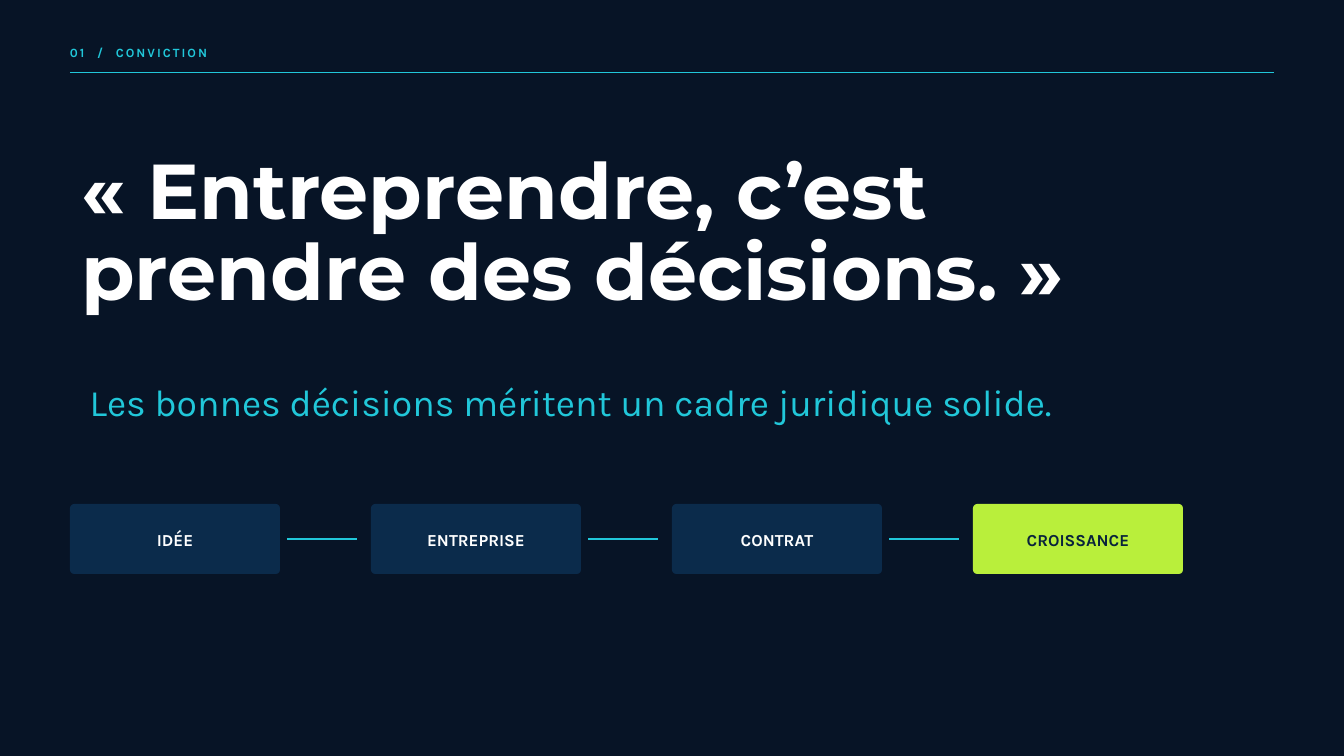
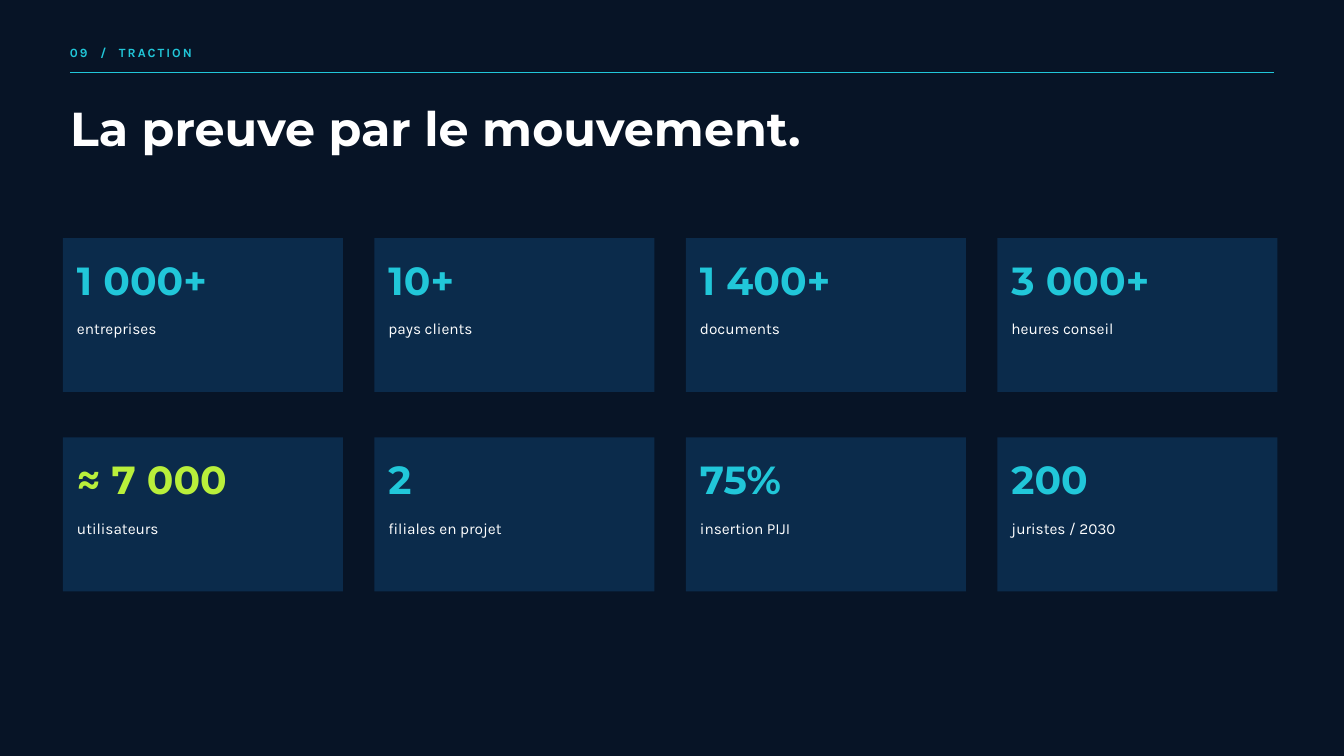
from dataclasses import dataclass

from lxml.etree import SubElement
from pptx import Presentation
from pptx.dml.color import RGBColor as RGB
from pptx.enum.shapes import MSO_CONNECTOR as LINE, MSO_SHAPE as SHAPE
from pptx.enum.text import MSO_ANCHOR as ANCHOR, MSO_AUTO_SIZE as FIT, PP_ALIGN as ALIGN
from pptx.oxml.ns import qn
from pptx.util import Pt

# Content
CONVICTION = {
    "section": ("01", "CONVICTION"),
    "title": ["« Entreprendre, c’est", "prendre des décisions. »"],
    "subtitle": "Les bonnes décisions méritent un cadre juridique solide.",
    "steps": ["IDÉE", "ENTREPRISE", "CONTRAT", "CROISSANCE"],
}
TRACTION = {
    "section": ("09", "TRACTION"),
    "title": ["La preuve par le mouvement."],
    "stats": [
        ("1 000+", "entreprises"), ("10+", "pays clients"),
        ("1 400+", "documents"), ("3 000+", "heures conseil"),
        ("≈ 7 000", "utilisateurs"), ("2", "filiales en projet"),
        ("75%", "insertion PIJI"), ("200", "juristes / 2030"),
    ],
    "highlight": "≈ 7 000",
}


# Theme
@dataclass(frozen=True)
class Style:
    size: float
    leading: float
    font: str = "Karla"
    bold: bool = False


class Theme:
    night = RGB.from_string("071426")
    navy = RGB.from_string("0B2B4B")
    ink = RGB.from_string("09233B")
    cyan = RGB.from_string("21C7D9")
    lime = RGB.from_string("B9EF3B")
    white = RGB.from_string("FFFFFF")
    section = Style(13.5, 18.9, bold=True)
    quote = Style(83.3, 85.8, "Montserrat", True)
    title = Style(51, 52.5, "Montserrat", True)
    subtitle = Style(40, 53.9)
    step = Style(18, 25.2, bold=True)
    figure = Style(42, 43.3, "Montserrat", True)
    label = Style(16.5, 22.3)


WIDTH, HEIGHT = 1440, 810
MARGIN = 75


# Shared helpers
def pts(*values):
    return [Pt(v) for v in values]


def frame(shape, insets=(0, 0, 0, 0), anchor=ANCHOR.TOP):
    tf = shape.text_frame
    tf.word_wrap, tf.auto_size, tf.vertical_anchor = True, FIT.NONE, anchor
    tf.margin_left, tf.margin_top, tf.margin_right, tf.margin_bottom = pts(*insets)
    return tf


def add_run(p, text, style, color, tracking=0):
    r = p.add_run()
    r.text = text
    r.font.name, r.font.size, r.font.bold = style.font, Pt(style.size), style.bold
    r.font.color.rgb = color
    if tracking:
        r.font._element.set("spc", str(round(tracking * 100)))


def add_line(tf, text, style, color, align=ALIGN.LEFT, before=0):
    p = tf.paragraphs[0] if not tf.paragraphs[0].runs else tf.add_paragraph()
    p.alignment, p.line_spacing, p.space_before = align, Pt(style.leading), Pt(before)
    if text:
        add_run(p, text, style, color)
    return p


def add_rule(s, x1, x2, y, width):
    rule = s.shapes.add_connector(LINE.STRAIGHT, *pts(x1, y, x2, y))
    rule.line.color.rgb, rule.line.width = Theme.cyan, Pt(width)
    SubElement(rule._element.spPr, qn("a:effectLst"))


def add_panel(s, kind, box, fill):
    panel = s.shapes.add_shape(kind, *pts(*box))
    panel.shadow.inherit = False
    panel.fill.solid()
    panel.fill.fore_color.rgb = fill
    panel.line.fill.background()
    return panel


def new_slide(prs, content, title_box, title_style):
    s = prs.slides.add_slide(prs.slide_layouts[5])
    # Section marker and rule
    tf = frame(s.shapes.add_textbox(*pts(MARGIN, 45, 465, 17)))
    p = add_line(tf, "", Theme.section, Theme.cyan)
    number, name = content["section"]
    for text, tracking in ((number, 2.2), (" ", 8), ("/", 2.2), (" ", 8), (name, 2.2)):
        add_run(p, text, Theme.section, Theme.cyan, tracking)
    add_rule(s, MARGIN, WIDTH - MARGIN, 77.6, 1)
    # Title
    title = s.shapes.title
    title.left, title.top, title.width, title.height = pts(*title_box)
    tf = frame(title)
    for text in content["title"]:
        add_line(tf, text, title_style, Theme.white)
    return s


# Quote and chain of steps
def conviction_slide(prs):
    s = new_slide(prs, CONVICTION, (87, 166.5, 1353, 174), Theme.quote)
    tf = frame(s.shapes.add_textbox(*pts(96, 400, 1065, 52)))
    add_line(tf, CONVICTION["subtitle"], Theme.subtitle, Theme.cyan)

    top, w, h, pitch = 540, 225, 75, 322.5
    last = len(CONVICTION["steps"]) - 1
    for i, step in enumerate(CONVICTION["steps"]):
        x = MARGIN + i * pitch
        fill, color = (Theme.lime, Theme.ink) if i == last else (Theme.navy, Theme.white)
        box = add_panel(s, SHAPE.ROUNDED_RECTANGLE, (x, top, w, h), fill)
        box.adjustments[0] = 0.06
        add_line(frame(box, (4, 4, 4, 6), ANCHOR.MIDDLE), step, Theme.step, color, ALIGN.CENTER)
        if i < last:
            add_rule(s, x + w + 7.5, x + w + 82.5, top + h / 2, 2.25)


# Grid of key figures
def traction_slide(prs):
    s = new_slide(prs, TRACTION, (MARGIN, 115, 900, 55), Theme.title)
    left, top, w, h, gap_x, gap_y, columns = 67.5, 255, 300, 165, 33.75, 48.75, 4
    for i, (figure, label) in enumerate(TRACTION["stats"]):
        row, column = divmod(i, columns)
        box = (left + column * (w + gap_x), top + row * (h + gap_y), w, h)
        tf = frame(add_panel(s, SHAPE.RECTANGLE, box, Theme.navy), (15, 26.5, 15, 0))
        color = Theme.lime if figure == TRACTION["highlight"] else Theme.cyan
        add_line(tf, figure, Theme.figure, color)
        add_line(tf, label, Theme.label, Theme.white, before=15)


def main():
    prs = Presentation()
    prs.slide_width, prs.slide_height = pts(WIDTH, HEIGHT)
    background = prs.slide_master.background.fill
    background.solid()
    background.fore_color.rgb = Theme.night
    conviction_slide(prs)
    traction_slide(prs)
    prs.save("out.pptx")


if __name__ == "__main__":
    main()
